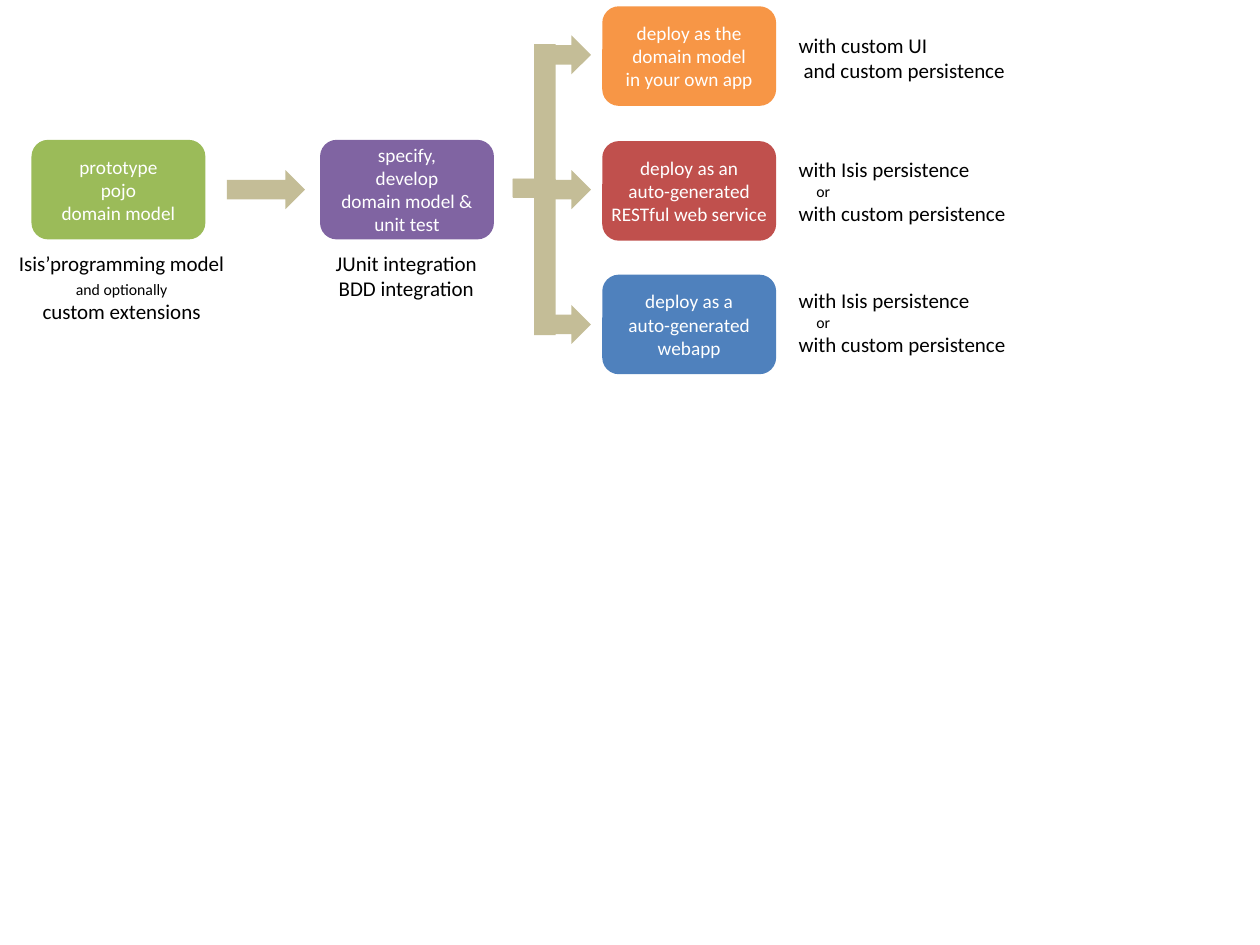
from pptx import Presentation
from pptx.dml.color import RGBColor
from pptx.enum.shapes import MSO_SHAPE
from pptx.enum.text import MSO_ANCHOR, MSO_AUTO_SIZE, PP_ALIGN
from pptx.util import Inches, Pt

ROUND, ARROW, CORNER = (
    MSO_SHAPE.ROUNDED_RECTANGLE, MSO_SHAPE.DOWN_ARROW, MSO_SHAPE.CORNER)
CENTER, LEFT = PP_ALIGN.CENTER, PP_ALIGN.LEFT
MIDDLE, FIT_SHAPE = MSO_ANCHOR.MIDDLE, MSO_AUTO_SIZE.SHAPE_TO_FIT_TEXT
FONT, TAN = "Calibri", "C4BD97"

BOX_W, BOX_H = 1.38, 0.79
PROTOTYPE_X, DEVELOP_X, DEPLOY_X, NOTE_X = 0.25, 2.54, 4.78, 6.24
STEP_Y, CAPTION_Y = 1.11, 1.94
HEAD_X, HEAD_W, ARROW_H = 4.25, 0.44, 0.31
FORK_X, FORK_W, FORK_ARM = 4.07, 0.34, 0.15
FORK_TOP, FORK_MIDDLE, FORK_BOTTOM = 0.35, 1.57, 2.66

PERSISTENCE = [("with Isis persistence", 12, 0, 0), ("or", 9, 0.14, 0),
               ("with custom persistence", 12, 0, 0)]
CUSTOM = [("with custom UI", 12, 0, 0), ("and custom persistence", 12, 0.04, 0)]
DEPLOYMENTS = [
    (0.05, "F79646", "deploy as the\vdomain model\vin your own app",
     0.28, 0.21, 0.5, CUSTOM),
    (1.12, "C0504D", "deploy as an\vauto-generated\vRESTful web service",
     1.35, 1.19, 0.67, PERSISTENCE),
    (2.18, "4F81BD", "deploy as a\nauto-generated\vwebapp",
     2.42, 2.23, 0.67, PERSISTENCE),
]


def rgb(value):
    """Return the colour for a hex string."""
    return RGBColor.from_string(value)


def style(p, size, color, align):
    """Set the font and alignment of a paragraph."""
    p.alignment = align
    p.font.name, p.font.size = FONT, Pt(size)
    p.font.color.rgb = rgb(color)


def add_solid(slide, kind, x, y, w, h, color):
    """Add a flat preset shape without outline or shadow."""
    sp = slide.shapes.add_shape(kind, Inches(x), Inches(y), Inches(w), Inches(h))
    sp.shadow.inherit = False
    sp.fill.solid()
    sp.fill.fore_color.rgb = rgb(color)
    sp.line.fill.background()
    return sp


def add_turned(slide, kind, x, y, w, h):
    """Add a tan shape turned by 270 degrees that covers the given box."""
    shift = (w - h) / 2
    sp = add_solid(slide, kind, x + shift, y - shift, h, w, TAN)
    sp.rotation = 270
    return sp


def add_step(slide, x, y, color, text):
    """Add one rounded process box with centred white text."""
    sp = add_solid(slide, ROUND, x, y, BOX_W, BOX_H, color)
    tf = sp.text_frame
    tf.vertical_anchor = MIDDLE
    tf.margin_left = tf.margin_right = Inches(0.02)
    tf.margin_top = tf.margin_bottom = Inches(0.02)
    tf.text = text
    for p in tf.paragraphs:
        style(p, 11, "FFFFFF", CENTER)


def add_note(slide, x, y, w, h, lines, align):
    """Add a note whose lines are (text, size, indent, space before)."""
    box = slide.shapes.add_textbox(Inches(x), Inches(y), Inches(w), Inches(h))
    tf = box.text_frame
    tf.word_wrap = False
    tf.auto_size = FIT_SHAPE
    tf.text = "\n".join(line[0] for line in lines)
    for p, (_, size, indent, before) in zip(tf.paragraphs, lines):
        if indent:
            p._p.get_or_add_pPr().set("marL", str(Inches(indent)))
        if before:
            p.space_before = Pt(before)
        style(p, size, "000000", align)


def add_fork(slide):
    """Add the two corners that lead from development to the deployments."""
    upper = add_turned(slide, CORNER, FORK_X, FORK_TOP,
                       FORK_W, FORK_MIDDLE - FORK_TOP)
    upper.adjustments[1] = 0.45
    lower_top = FORK_MIDDLE - FORK_ARM
    lower = add_turned(slide, CORNER, FORK_X, lower_top,
                       FORK_W, FORK_BOTTOM - lower_top)
    lower.adjustments[1] = 0.42
    lower._element.spPr.get_or_add_xfrm().set("flipH", "1")


def add_deployments(slide):
    """Add each deployment with its arrow and its note."""
    for y, color, text, arrow_y, note_y, note_h, lines in DEPLOYMENTS:
        add_step(slide, DEPLOY_X, y, color, text)
        add_turned(slide, ARROW, HEAD_X, arrow_y, HEAD_W, ARROW_H)
        add_note(slide, NOTE_X, note_y, 1.86, note_h, lines, LEFT)


def add_development(slide):
    """Add the prototype and development steps with their captions."""
    add_step(slide, PROTOTYPE_X, STEP_Y, "9BBB59",
             "prototype\vpojo\vdomain model")
    add_turned(slide, ARROW, 1.8, 1.35, 0.62, ARROW_H)
    add_step(slide, DEVELOP_X, STEP_Y, "8064A2",
             "specify,\vdevelop\vdomain model &\vunit test")
    add_note(slide, 0.04, CAPTION_Y, 1.85, 0.68,
             [("Isis’programming model", 12, 0, 0),
              ("and optionally", 9, 0, 2),
              ("custom extensions", 12, 0, 0)], CENTER)
    add_note(slide, 2.56, CAPTION_Y, 1.33, 0.5,
             [("JUnit integration", 12, 0, 0),
              ("BDD integration", 12, 0, 0)], CENTER)


def main():
    """Build the deployment options slide."""
    prs = Presentation()
    prs.slide_width, prs.slide_height = Inches(10), Inches(7.5)
    slide = prs.slides.add_slide(prs.slide_layouts[6])
    add_deployments(slide)
    add_fork(slide)
    add_development(slide)
    prs.save("out.pptx")


if __name__ == "__main__":
    main()
